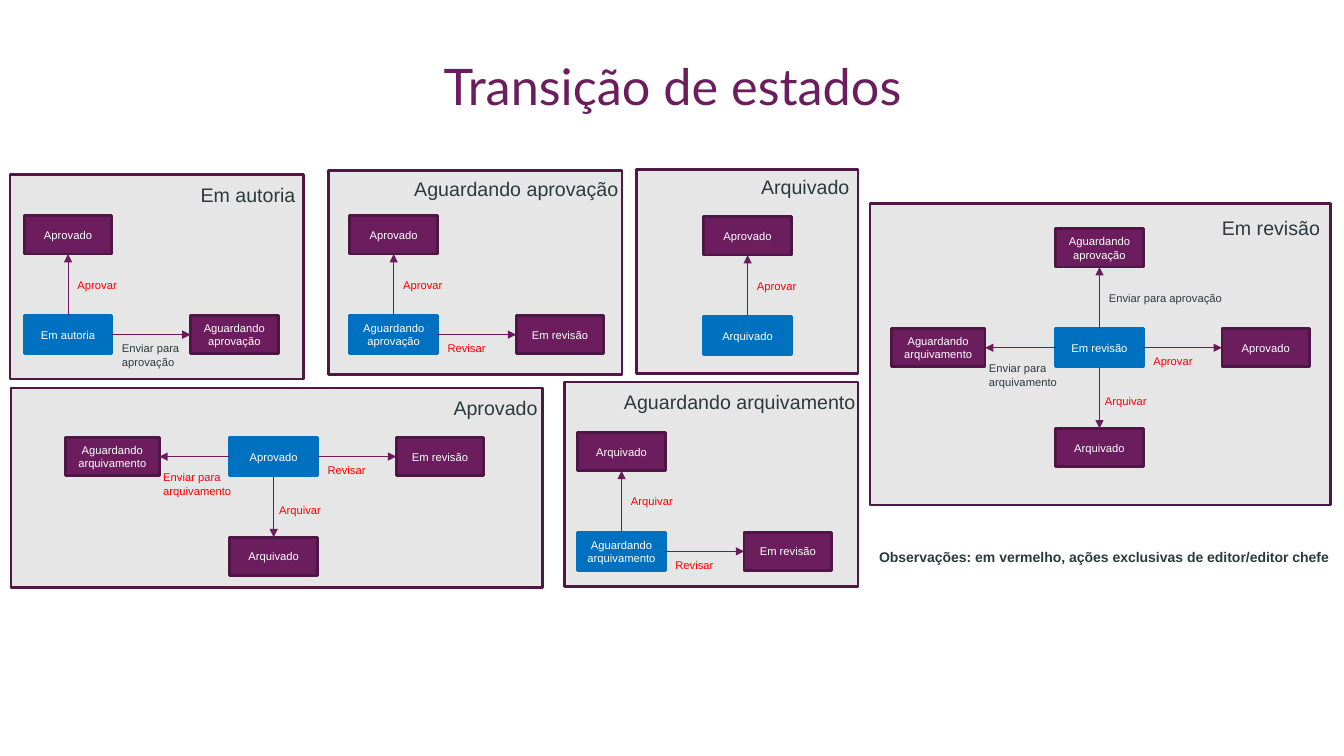
from dataclasses import dataclass

from lxml.etree import SubElement
from pptx import Presentation
from pptx.dml.color import RGBColor
from pptx.enum.shapes import MSO_CONNECTOR, MSO_SHAPE
from pptx.enum.text import MSO_ANCHOR, MSO_AUTO_SIZE, PP_ALIGN
from pptx.oxml.ns import qn
from pptx.shapes.autoshape import Shape
from pptx.slide import Slide
from pptx.util import Inches, Pt

PURPLE = RGBColor(0x6B, 0x1D, 0x5D)
NODE_EDGE = RGBColor(0x4F, 0x15, 0x45)
PANEL_EDGE = RGBColor(0x50, 0x16, 0x46)
ARROW = RGBColor(0x6B, 0x1A, 0x5C)
BLUE = RGBColor(0x00, 0x70, 0xC0)
GREY = RGBColor(0xE7, 0xE6, 0xE6)
INK = RGBColor(0x2B, 0x3A, 0x3C)
RED = RGBColor(0xFF, 0x00, 0x00)
WHITE = RGBColor(0xFF, 0xFF, 0xFF)

NODE_W, NODE_H = 0.87, 0.38


@dataclass(frozen=True)
class Direction:
    """Offsets from the current state's corner, and the sites the arrow joins."""
    dx: float
    dy: float
    label_dx: float
    label_dy: float
    start_site: int
    end_site: int
    width: float = NODE_W


UP = Direction(0, -0.99, 0.43, -0.42, 0, 2)
DOWN = Direction(0, 0.99, 0.39, 0.6, 2, 0)
RIGHT = Direction(1.65, 0, 0.87, 0.21, 3, 1)
LEFT = Direction(-1.63, 0, -0.76, 0.28, 1, 3, 0.93)


@dataclass(frozen=True)
class Action:
    text: str
    width: float
    color: RGBColor = RED


APPROVE = Action("Aprovar", 0.6)
REVIEW = Action("Revisar", 0.58)
ARCHIVE = Action("Arquivar", 0.62)
SEND_APPROVAL = Action("Enviar para aprovação", 1.34, INK)
SEND_APPROVAL_2 = Action("Enviar para\naprovação", 0.81, INK)
SEND_ARCHIVE = Action("Enviar para\narquivamento", 0.89, INK)
SEND_ARCHIVE_RED = Action("Enviar para\narquivamento", 0.89)


@dataclass(frozen=True)
class Transition:
    direction: Direction
    target: str
    action: Action


@dataclass(frozen=True)
class Panel:
    state: str
    box: tuple[float, float, float, float]
    title: tuple[float, float, float]
    node: tuple[float, float]
    transitions: tuple[Transition, ...]


AUTHORING, APPROVED, ARCHIVED, REVIEWING = "Em autoria", "Aprovado", "Arquivado", "Em revisão"
WAIT_APPROVAL, WAIT_ARCHIVE = "Aguardando aprovação", "Aguardando arquivamento"

PANELS = (
    Panel(APPROVED, (0.11, 3.85, 5.27, 1.98), (4.4, 3.88, 1.04), (2.28, 4.34), (
        Transition(RIGHT, REVIEWING, REVIEW),
        Transition(LEFT, WAIT_ARCHIVE, SEND_ARCHIVE_RED),
        Transition(DOWN, ARCHIVED, ARCHIVE))),
    Panel(ARCHIVED, (6.31, 1.68, 2.2, 2.03), (7.45, 1.69, 1.13), (6.98, 3.14), (
        Transition(UP, APPROVED, APPROVE),)),
    Panel(REVIEWING, (8.63, 2.02, 4.57, 2.99), (12.02, 2.09, 1.18), (10.47, 3.26), (
        Transition(RIGHT, APPROVED, APPROVE),
        Transition(UP, WAIT_APPROVAL, SEND_APPROVAL),
        Transition(LEFT, WAIT_ARCHIVE, SEND_ARCHIVE),
        Transition(DOWN, ARCHIVED, ARCHIVE))),
    Panel(WAIT_ARCHIVE, (5.6, 3.79, 2.91, 2.03), (6.09, 3.82, 2.51), (5.73, 5.28), (
        Transition(RIGHT, REVIEWING, REVIEW),
        Transition(UP, ARCHIVED, ARCHIVE))),
    Panel(WAIT_APPROVAL, (3.26, 1.69, 2.91, 2.03), (4.01, 1.71, 2.24), (3.47, 3.13), (
        Transition(RIGHT, REVIEWING, REVIEW),
        Transition(UP, APPROVED, APPROVE))),
    Panel(AUTHORING, (0.1, 1.73, 2.91, 2.03), (1.89, 1.77, 1.15), (0.24, 3.13), (
        Transition(RIGHT, WAIT_APPROVAL, SEND_APPROVAL_2),
        Transition(UP, APPROVED, APPROVE))),
)


def add_rect(s: Slide, x: float, y: float, w: float, h: float,
             fill: RGBColor, edge: RGBColor) -> Shape:
    sp = s.shapes.add_shape(MSO_SHAPE.RECTANGLE, Inches(x), Inches(y), Inches(w), Inches(h))
    sp.shadow.inherit = False
    sp.fill.solid()
    sp.fill.fore_color.rgb = fill
    sp.line.color.rgb = edge
    sp.line.width = Pt(2)
    return sp


def write(sp: Shape, text: str, size: float, color: RGBColor, align: PP_ALIGN = PP_ALIGN.LEFT,
          font: str = "Arial", bold: bool = False) -> None:
    tf = sp.text_frame
    for i, line in enumerate(text.split("\n")):
        p = tf.add_paragraph() if i else tf.paragraphs[0]
        p.alignment = align
        r = p.add_run()
        r.text = line
        r.font.name = font
        r.font.size = Pt(size)
        r.font.bold = bold
        r.font.color.rgb = color


def add_label(s: Slide, x: float, y: float, w: float, h: float, text: str,
              size: float, color: RGBColor = INK, bold: bool = False) -> None:
    sp = s.shapes.add_textbox(Inches(x), Inches(y), Inches(w), Inches(h))
    sp.text_frame.word_wrap = False
    sp.text_frame.auto_size = MSO_AUTO_SIZE.SHAPE_TO_FIT_TEXT
    write(sp, text, size, color, bold=bold)


def add_node(s: Slide, x: float, y: float, w: float, text: str,
             fill: RGBColor = PURPLE, edge: RGBColor = NODE_EDGE) -> Shape:
    sp = add_rect(s, x, y, w, NODE_H, fill, edge)
    tf = sp.text_frame
    tf.word_wrap = True
    tf.vertical_anchor = MSO_ANCHOR.MIDDLE
    tf.margin_left = tf.margin_right = Inches(0.08)
    write(sp, text, 8, WHITE, PP_ALIGN.CENTER)
    return sp


def add_arrow(s: Slide, start: Shape, end: Shape, direction: Direction) -> None:
    line = s.shapes.add_connector(MSO_CONNECTOR.STRAIGHT, 0, 0, 0, 0)
    line.begin_connect(start, direction.start_site)
    line.end_connect(end, direction.end_site)
    line.line.color.rgb = ARROW
    line.line.width = Pt(0.75)
    SubElement(line.line._get_or_add_ln(), qn("a:tailEnd"), type="triangle")
    SubElement(line._element.spPr, qn("a:effectLst"))


def add_panel(s: Slide, panel: Panel) -> None:
    add_rect(s, *panel.box, GREY, PANEL_EDGE)
    add_label(s, *panel.title, 0.34, panel.state, 14)
    x, y = panel.node
    current = add_node(s, x, y, NODE_W, panel.state, BLUE, BLUE)
    for t in panel.transitions:
        d, action = t.direction, t.action
        target = add_node(s, x + d.dx, y + d.dy, d.width, t.target)
        add_arrow(s, current, target, d)
        height = 0.37 if "\n" in action.text else 0.24
        add_label(s, x + d.label_dx, y + d.label_dy, action.width, height,
                  action.text, 8, action.color)


def main() -> None:
    prs = Presentation()
    prs.slide_width, prs.slide_height = Inches(13.33), Inches(7.5)
    s = prs.slides.add_slide(prs.slide_layouts[5])

    # Title
    title = s.shapes.title
    title.left, title.top = Inches(0.92), Inches(0.56)
    title.width, title.height = Inches(11.5), Inches(1.45)
    title.text_frame.vertical_anchor = MSO_ANCHOR.TOP
    title.text_frame.auto_size = MSO_AUTO_SIZE.NONE
    write(title, "Transição de estados", 36, PURPLE, PP_ALIGN.CENTER, "Lato")
    title.text_frame.paragraphs[0].line_spacing = 0.9

    # One panel per state
    for panel in PANELS:
        add_panel(s, panel)

    # Footnote
    add_label(s, 8.62, 5.39, 4.7, 0.27,
              "Observações: em vermelho, ações exclusivas de editor/editor chefe", 10, bold=True)

    prs.save("out.pptx")


if __name__ == "__main__":
    main()
